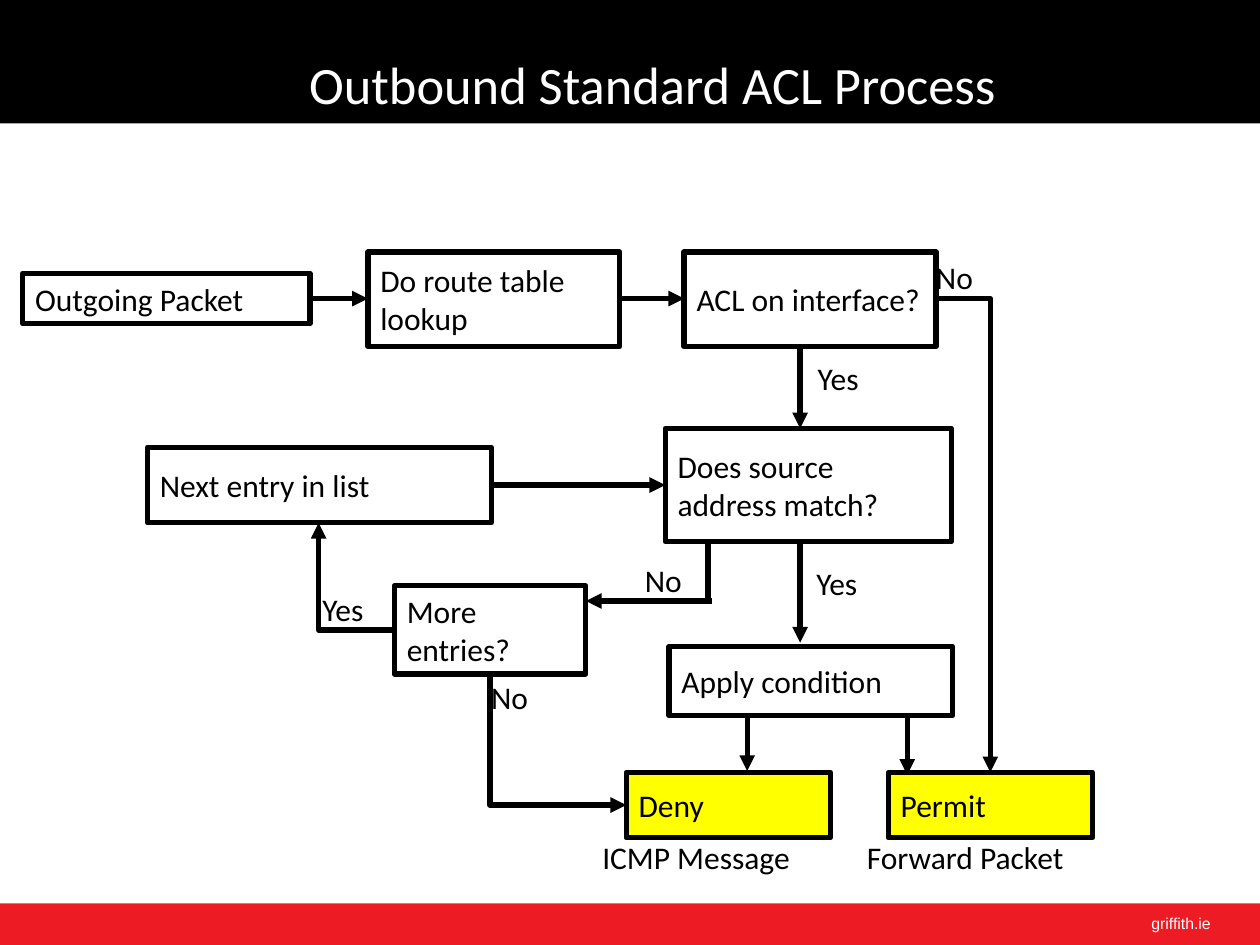
from dataclasses import dataclass

from lxml.etree import SubElement
from pptx import Presentation
from pptx.dml.color import RGBColor
from pptx.enum.shapes import MSO_CONNECTOR, MSO_SHAPE
from pptx.enum.text import MSO_ANCHOR, MSO_AUTO_SIZE, PP_ALIGN
from pptx.oxml.ns import qn
from pptx.slide import Slide
from pptx.text.text import TextFrame
from pptx.util import Inches, Pt


@dataclass(frozen=True)
class Theme:
    black: RGBColor = RGBColor(0, 0, 0)
    white: RGBColor = RGBColor(255, 255, 255)
    red: RGBColor = RGBColor(0xED, 0x1C, 0x24)
    yellow: RGBColor = RGBColor(255, 255, 0)
    body_font: str = "Calibri"
    footer_font: str = "Arial"
    title_size: float = 30
    body_size: float = 18
    footer_size: float = 9
    line_width: float = 3


THEME = Theme()


@dataclass(frozen=True)
class Step:
    text: str
    left: float
    top: float
    width: float
    height: float
    fill: RGBColor = THEME.white


@dataclass(frozen=True)
class Label:
    text: str
    left: float
    top: float
    width: float = 0.72
    height: float = 0.4
    inset: bool = True
    font: str = THEME.body_font
    size: float = THEME.body_size
    color: RGBColor = THEME.black


@dataclass(frozen=True)
class Arrow:
    start: tuple[float, float]
    end: tuple[float, float]
    arrowhead: str = "tailEnd"
    bent: bool = False


STEPS = [
    Step("Outgoing Packet", 0.18, 2.17, 2.28, 0.4),
    Step("Do route table lookup", 2.92, 2, 2, 0.75),
    Step("ACL on interface?", 5.43, 2, 2, 0.75),
    Step("Does source address match?", 5.28, 3.4, 2.27, 0.9),
    Step("Next entry in list", 1.17, 3.55, 2.73, 0.6),
    Step("More entries?", 3.13, 4.65, 1.52, 0.7),
    Step("Apply condition", 5.31, 5.13, 2.25, 0.55),
    Step("Permit", 7.05, 6.13, 1.62, 0.52, THEME.yellow),
    Step("Deny", 4.97, 6.13, 1.62, 0.52, THEME.yellow),
]

ARROWS = [
    Arrow((2.46, 2.37), (2.92, 2.37)),
    Arrow((4.92, 2.37), (5.43, 2.37)),
    Arrow((7.43, 2.37), (7.86, 6.13), bent=True),
    Arrow((5.62, 4.32), (5.62, 4.77), arrowhead=""),
    Arrow((5.65, 4.77), (4.65, 4.77)),
    Arrow((4.97, 6.39), (3.89, 5.35), arrowhead="headEnd", bent=True),
    Arrow((3.13, 5), (2.53, 4.15), bent=True),
    Arrow((3.89, 3.85), (5.28, 3.85)),
    Arrow((5.93, 5.68), (5.93, 6.12)),
    Arrow((7.2, 5.68), (7.2, 6.15)),
    Arrow((6.35, 2.75), (6.35, 3.4)),
    Arrow((6.35, 4.3), (6.35, 5.1)),
]

LABELS = [
    Label("No", 5.02, 4.4),
    Label("No", 3.8, 5.33),
    Label("No", 7.33, 2),
    Label("Yes", 2.46, 4.63),
    Label("Yes", 6.38, 4.43),
    Label("Yes", 6.39, 2.8),
    Label("ICMP Message", 4.78, 6.65, 2.05, 0.3, inset=False),
    Label("Forward Packet", 6.88, 6.65, 2.05, 0.3, inset=False),
    Label("griffith.ie", 9.04, 7.2, 0.92, 0.25, font=THEME.footer_font,
          size=THEME.footer_size, color=THEME.white),
]


def write_text(frame: TextFrame, text: str, font: str, size: float,
               color: RGBColor, alignment: PP_ALIGN = PP_ALIGN.LEFT) -> None:
    frame.word_wrap = True
    paragraph = frame.paragraphs[0]
    paragraph.alignment = alignment
    run = paragraph.add_run()
    run.text = text
    run.font.name = font
    run.font.size = Pt(size)
    run.font.color.rgb = color


def draw_band(slide: Slide, top: float, height: float, color: RGBColor) -> None:
    band = slide.shapes.add_shape(
        MSO_SHAPE.RECTANGLE, 0, Inches(top), Inches(10), Inches(height))
    band.shadow.inherit = False
    band.fill.solid()
    band.fill.fore_color.rgb = color
    band.line.fill.background()


def draw_title(slide: Slide, text: str) -> None:
    title = slide.shapes.title
    title.left, title.top = Inches(0.47), Inches(0.36)
    title.width, title.height = Inches(9.42), Inches(0.45)
    frame = title.text_frame
    frame.auto_size = MSO_AUTO_SIZE.NONE
    frame.vertical_anchor = MSO_ANCHOR.TOP
    write_text(frame, text, THEME.body_font, THEME.title_size, THEME.white,
               PP_ALIGN.CENTER)


def draw_step(slide: Slide, step: Step) -> None:
    box = slide.shapes.add_shape(
        MSO_SHAPE.RECTANGLE, Inches(step.left), Inches(step.top),
        Inches(step.width), Inches(step.height))
    box.shadow.inherit = False
    box.fill.solid()
    box.fill.fore_color.rgb = step.fill
    box.line.color.rgb = THEME.black
    box.line.width = Pt(THEME.line_width)
    box.text_frame.vertical_anchor = MSO_ANCHOR.MIDDLE
    write_text(box.text_frame, step.text, THEME.body_font, THEME.body_size,
               THEME.black)


def draw_arrow(slide: Slide, arrow: Arrow) -> None:
    kind = MSO_CONNECTOR.ELBOW if arrow.bent else MSO_CONNECTOR.STRAIGHT
    points = [Inches(value) for value in arrow.start + arrow.end]
    connector = slide.shapes.add_connector(kind, *points)
    connector.line.color.rgb = THEME.black
    connector.line.width = Pt(THEME.line_width)
    properties = connector._element.spPr
    if arrow.bent:
        properties.find(qn("a:prstGeom")).set("prst", "bentConnector2")
    if arrow.arrowhead:
        line = properties.find(qn("a:ln"))
        SubElement(line, qn(f"a:{arrow.arrowhead}"), type="triangle")
    SubElement(properties, qn("a:effectLst"))


def draw_label(slide: Slide, label: Label) -> None:
    box = slide.shapes.add_textbox(
        Inches(label.left), Inches(label.top),
        Inches(label.width), Inches(label.height))
    frame = box.text_frame
    if not label.inset:
        frame.margin_left = frame.margin_right = 0
        frame.margin_top = frame.margin_bottom = 0
    write_text(frame, label.text, label.font, label.size, label.color)


def main() -> None:
    presentation = Presentation()
    presentation.slide_width = Inches(10)
    presentation.slide_height = Inches(7.5)
    slide = presentation.slides.add_slide(presentation.slide_layouts[5])
    draw_band(slide, 0, 0.98, THEME.black)
    draw_band(slide, 7.17, 0.33, THEME.red)
    title_element = slide.shapes.title._element
    title_element.getparent().append(title_element)
    draw_title(slide, "Outbound Standard ACL Process")
    for step in STEPS:
        draw_step(slide, step)
    for arrow in ARROWS:
        draw_arrow(slide, arrow)
    for label in LABELS:
        draw_label(slide, label)
    presentation.save("out.pptx")


if __name__ == "__main__":
    main()
